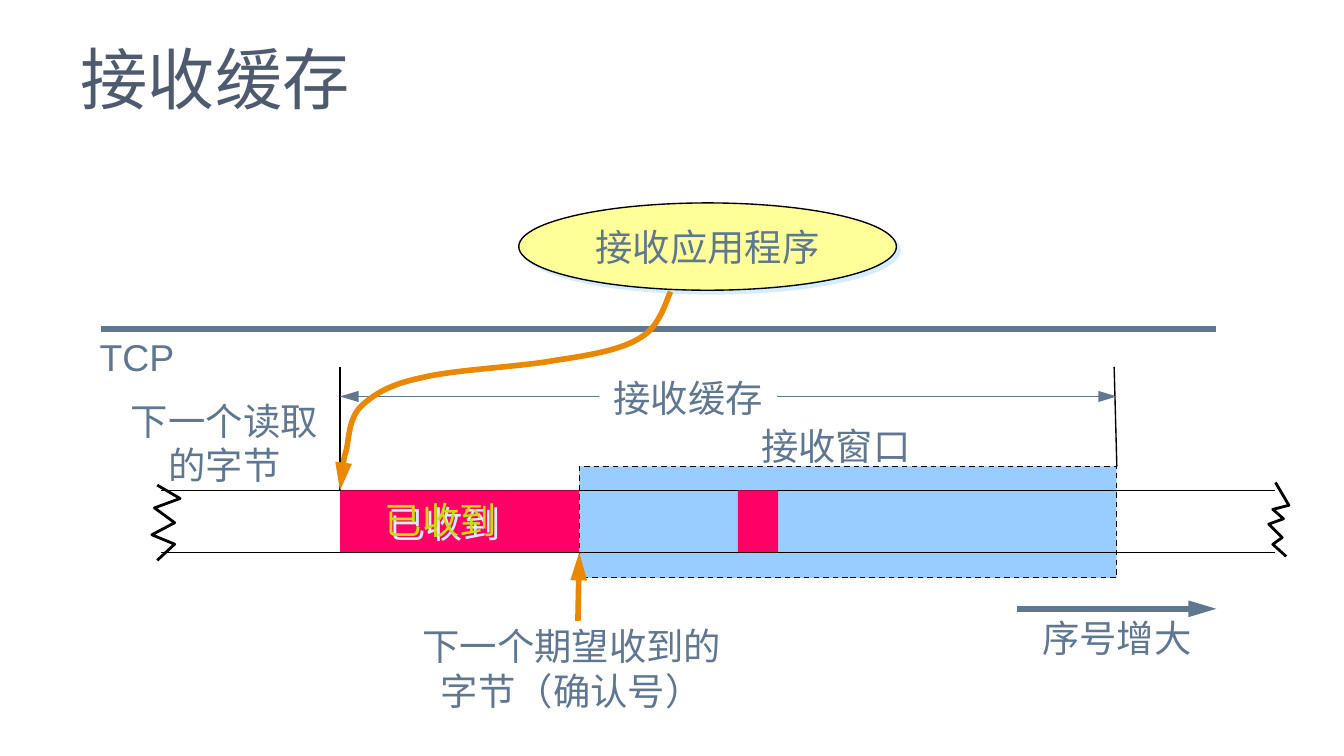
from lxml.etree import SubElement as Sub
from pptx import Presentation
from pptx.dml.color import RGBColor
from pptx.enum.dml import MSO_LINE as Dash
from pptx.enum.shapes import MSO_CONNECTOR as Conn, MSO_SHAPE as Kind
from pptx.enum.text import MSO_ANCHOR as Anchor, PP_ALIGN as Align
from pptx.oxml.ns import qn
from pptx.util import Inches, Pt

WIDE = 10
HIGH = WIDE * 9 / 16
INK, SLATE, BLACK, GOLD = "4E5B6F", "5F7791", "000000", "EB8803"
SKY, PINK, LEMON, LIME, PALE = "99CCFF", "FF0066", "FFFF99", "C9DE06", "D6ECFF"

# Columns and rows of the buffer diagram
READ, NEXT, END = 2.53, 4.31, 8.31
LEFT, RIGHT, EDGE = 1.2, 9.49, 9.05
TICK, SPAN, TOP, BASE, FLOW = 2.73, 2.95, 3.65, 4.11, 4.53
WIN_TOP, WIN_HIGH = 3.47, 0.83
PAD, ROW = 0.1, 0.34  # box padding, height of one text line

TITLE = "接收缓存"
APP = "接收应用程序"

# from, to, colour, width, arrow ends
RAILS = [((LEFT, y), (RIGHT, y), BLACK, 0.75, ()) for y in (TOP, BASE)]
LINES = [
    ((0.75, 2.45), (EDGE, 2.45), SLATE, 3, ()),
    ((READ, TICK), (READ, TOP), BLACK, 0.75, ()),
    ((END - 0.02, TICK), (END, WIN_TOP), BLACK, 0.75, ()),
    ((READ, SPAN), (END, SPAN), SLATE, 0.75, ("headEnd", "tailEnd")),
    ((7.57, FLOW), (EDGE, FLOW), SLATE, 3, ("tailEnd",)),
    ((4.3, 4.62), (NEXT, BASE), GOLD, 3, ("tailEnd",)),
]
BARS = [(READ, NEXT - READ), (5.49, 0.3)]  # left, width

# left, top, width, lines, colour, back fill
LABELS = [
    (2.76, 3.65, 1.04, ["已收到"], LIME, None),
    (5.56, 3.1, 1.32, ["接收窗口"], SLATE, None),
    (0.64, 2.44, 0.76, ["TCP"], SLATE, None),
    (4.46, 2.74, 1.32, ["接收缓存"], SLATE, "FFFFFF"),
    (0.87, 2.91, 1.6, ["下一个读取", "的字节"], SLATE, None),
    (7.65, FLOW, 1.32, ["序号增大"], SLATE, None),
    (3.03, 4.59, 2.45, ["下一个期望收到的", "字节（确认号）"], SLATE, None),
]
BREAKS = [
    [(9.49, 3.59), (9.59, 3.76), (9.47, 3.79), (9.55, 3.86),
     (9.44, 3.9), (9.54, 4), (9.47, 4.05), (9.57, 4.14)],
    [(1.17, 3.61), (1.34, 3.71), (1.15, 3.78), (1.3, 3.89),
     (1.13, 3.98), (1.3, 4.05), (1.17, 4.17)],
]
# Start, then two control points and an end for each cubic
CURVE = [
    (4.99, 2.17), (4.96, 2.23), (4.91, 2.43), (4.77, 2.51),
    (4.63, 2.6), (4.41, 2.64), (4.14, 2.68),
    (3.87, 2.73), (3.38, 2.75), (3.14, 2.81),
    (2.9, 2.86), (2.79, 2.93), (2.69, 3.02),
    (2.6, 3.11), (2.6, 3.23), (2.58, 3.34),
    (2.55, 3.44), (2.54, 3.59), (READ, TOP),
]

deck = Presentation()
deck.slide_width, deck.slide_height = Inches(WIDE), Inches(HIGH)
slide = deck.slides.add_slide(deck.slide_layouts[5])
shapes = slide.shapes


def rgb(code):
    return RGBColor.from_string(code)


def paint(shape, fill=None, line=None, width=0.75):
    if fill:
        shape.fill.solid()
        shape.fill.fore_color.rgb = rgb(fill)
    else:
        shape.fill.background()
    if line:
        shape.line.color.rgb = rgb(line)
        shape.line.width = Pt(width)
    else:
        shape.line.fill.background()


def block(kind, x, y, w, h, **look):
    shape = shapes.add_shape(kind, *map(Inches, (x, y, w, h)))
    shape.shadow.inherit = False
    paint(shape, **look)
    return shape


def shade(shape, dist=2.8):
    """Add a hard shadow, dist points to the lower right."""
    shape.shadow.inherit = False
    effects = shape._element.spPr.find(qn("a:effectLst"))
    drop = Sub(effects, qn("a:outerShdw"), blurRad="0",
               dist=str(Pt(dist)), dir="2700000", algn="ctr", rotWithShape="0")
    Sub(drop, qn("a:srgbClr"), val=PALE)


def point(line, ends):
    for end in ends:
        Sub(line._get_or_add_ln(), qn("a:" + end),
            type="triangle", w="med", len="lg")


def write(shape, rows, color, size=20, align=Align.CENTER, **frame):
    text = shape.text_frame
    text.text = "\n".join(rows)
    for name, value in frame.items():
        setattr(text, name, value)
    look = {"name": "Arial", "size": Pt(size), "bold": False}
    for para in text.paragraphs:
        para.alignment = align
        for run in para.runs:
            run.font.color.rgb = rgb(color)
            for name, value in look.items():
                setattr(run.font, name, value)


def stroke(start, end, color, width, ends):
    line = shapes.add_connector(Conn.STRAIGHT, *map(Inches, start + end))
    line.line.color.rgb = rgb(color)
    line.line.width = Pt(width)
    point(line.line, ends)
    Sub(line._element.spPr, qn("a:effectLst"))


def trace(dots, color, width):
    dots = [tuple(map(Inches, dot)) for dot in dots]
    pen = shapes.build_freeform(*dots[0])
    pen.add_line_segments(dots[1:], close=False)
    shape = pen.convert_to_shape()
    shape.shadow.inherit = False
    paint(shape, line=color, width=width)
    return shape


def bend(shape):
    """Turn each three line steps of an outline into one cubic."""
    steps = list(shape._element.iter(qn("a:lnTo")))
    for i in range(0, len(steps), 3):
        cubic = Sub(steps[i].getparent(), qn("a:cubicBezTo"))
        for step in steps[i:i + 3]:
            cubic.append(step[0])
            step.getparent().remove(step)


title = shapes.title
title.left, title.top, title.width, title.height = map(
    Inches, (0.5, 0.23, 8.69, 0.7))
write(title, [TITLE], INK, 36, Align.LEFT, vertical_anchor=Anchor.BOTTOM)

window = block(Kind.RECTANGLE, NEXT, WIN_TOP, END - NEXT, WIN_HIGH,
               fill=SKY, line=BLACK)
window.line.dash_style = Dash.DASH

app = block(Kind.OVAL, 3.86, 1.51, 2.81, 0.65, fill=LEMON, line=BLACK)
shade(app)
write(app, [APP], SLATE, vertical_anchor=Anchor.MIDDLE, word_wrap=False)

for rail in RAILS:
    stroke(*rail)
for x, w in BARS:
    block(Kind.RECTANGLE, x, TOP, w, BASE - TOP, fill=PINK)
for line in LINES:
    stroke(*line)

for x, y, w, rows, color, back in LABELS:
    box = shapes.add_textbox(*map(Inches, (x, y, w, PAD + ROW * len(rows))))
    paint(box, fill=back)
    write(box, rows, color, word_wrap=False)
    if color == LIME:
        shade(box)

arrow = trace(CURVE, GOLD, 3)
bend(arrow)
point(arrow.line, ["tailEnd"])
for dots in BREAKS:
    trace(dots, BLACK, 1.5)

deck.save("out.pptx")
